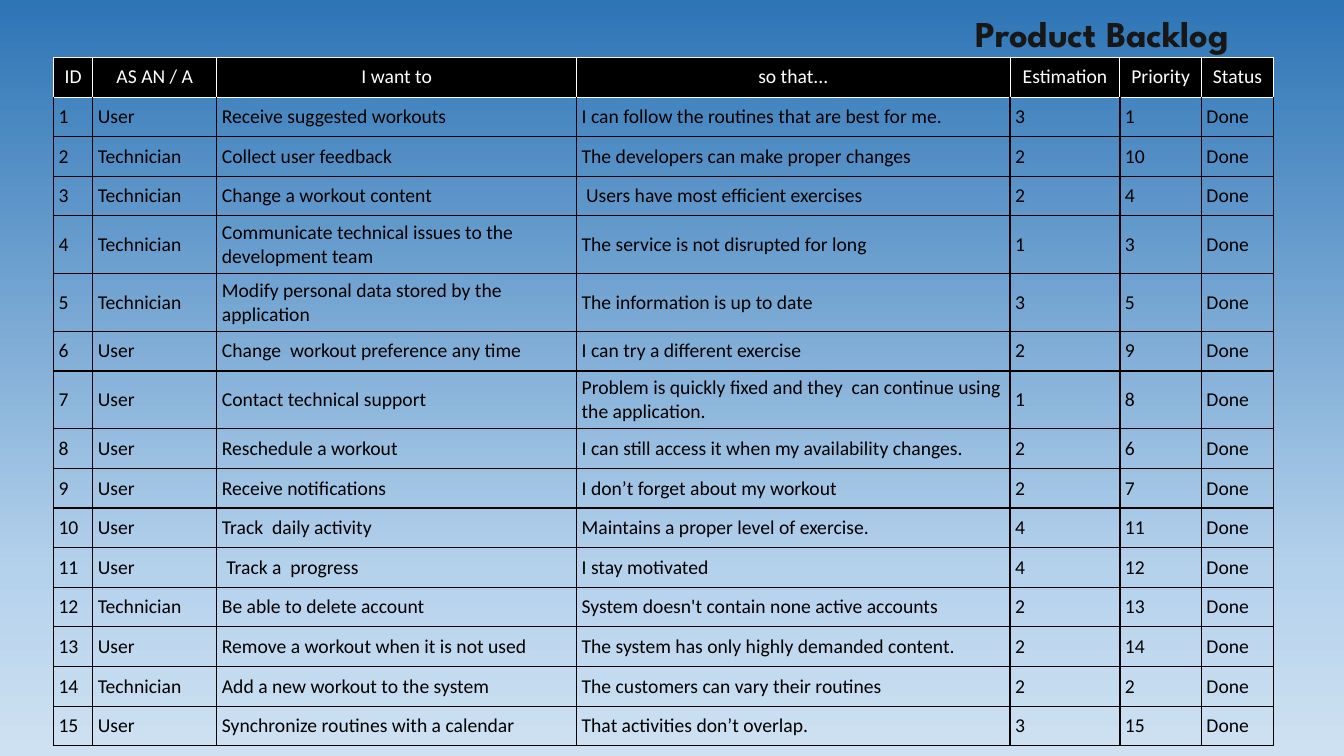
from copy import deepcopy
from lxml.etree import SubElement
from pptx import Presentation
from pptx.dml.color import RGBColor
from pptx.enum.text import MSO_ANCHOR, MSO_AUTO_SIZE, PP_ALIGN
from pptx.oxml.ns import qn
from pptx.util import Pt

BLACK, WHITE = "000000", "FFFFFF"
WIDTHS = [28.1, 88.6, 257, 309.6, 78.5, 58.2, 51.6]
ROW = 28.3
HEAD = ["ID", "AS AN / A", "I want to", "so that...", "Estimation", "Priority", "Status"]
STORIES = [
    ("User", "Receive suggested workouts",
     "I can follow the routines that are best for me.", 3, 1),
    ("Technician", "Collect user feedback",
     "The developers can make proper changes", 2, 10),
    ("Technician", "Change a workout content",
     "\u00a0Users have most efficient exercises", 2, 4),
    ("Technician", "Communicate technical issues to the development team",
     "The service is not disrupted for long", 1, 3),
    ("Technician", "Modify personal data stored by the application",
     "The information is up to date", 3, 5),
    ("User", "Change\u00a0 workout preference any time",
     "I can try a different exercise", 2, 9),
    ("User", "Contact technical support",
     "Problem is quickly fixed and they\u00a0 can continue using the application.", 1, 8),
    ("User", "Reschedule a workout",
     "I can still access it when my availability changes.", 2, 6),
    ("User", "Receive notifications",
     "I don\u2019t forget about my workout", 2, 7),
    ("User", "Track\u00a0 daily activity",
     "Maintains a proper level of exercise.", 4, 11),
    ("User", "\u00a0Track a\u00a0 progress",
     "I stay motivated", 4, 12),
    ("Technician", "Be able to delete account",
     "System doesn't contain none active accounts", 2, 13),
    ("User", "Remove a workout when it is not used",
     "The system has only highly demanded content.", 2, 14),
    ("Technician", "Add a new workout to the system",
     "The customers can vary their routines", 2, 2),
    ("User", "Synchronize\u00a0routines with a calendar",
     "That activities don\u2019t overlap.", 3, 15),
]


def paint(color, code):
    color.rgb = RGBColor.from_string(code)


def write(frame, text, size=14, font="Calibri", color=BLACK, bold=False,
          align=PP_ALIGN.LEFT):
    para = frame.paragraphs[0]
    para.alignment = align
    run = para.add_run()
    run.text = text
    run.font.size = Pt(size)
    run.font.name = font
    run.font.bold = bold
    paint(run.font.color, color)


def shade(slide, stops):
    fill = slide.background.fill
    fill.gradient()
    fill.gradient_angle = 270
    group = slide._element.find(".//" + qn("a:gsLst"))
    while len(group) < len(stops):
        group.append(deepcopy(group[-1]))
    for stop, (place, code) in zip(fill.gradient_stops, stops):
        stop.position = place
        paint(stop.color, code)


def border(cell, side, code, width):
    line = SubElement(cell._tc.get_or_add_tcPr(), qn("a:ln" + side), w=str(Pt(width)))
    solid = SubElement(line, qn("a:solidFill"))
    SubElement(solid, qn("a:srgbClr"), val=code)


def fill_cell(cell, text, head, first):
    cell.margin_left = cell.margin_right = Pt(3.6)
    cell.margin_top = cell.margin_bottom = Pt(3.6)
    cell.vertical_anchor = MSO_ANCHOR.MIDDLE
    for side in "LRTB":
        white = head or (first and side == "T")
        border(cell, side, WHITE if white else BLACK, 0.75 if white else 1)
    if head:
        cell.fill.solid()
        paint(cell.fill.fore_color, BLACK)
        write(cell.text_frame, text, color=WHITE, align=PP_ALIGN.CENTER)
    else:
        cell.fill.background()
        write(cell.text_frame, text)


def add_grid(slide, rows, left, top):
    frame = slide.shapes.add_table(len(rows), len(WIDTHS), Pt(left), Pt(top),
                                   Pt(sum(WIDTHS)), Pt(ROW * len(rows)))
    table = frame.table
    table.horz_banding = False
    for col, width in zip(table.columns, WIDTHS):
        col.width = Pt(width)
    for r, row in enumerate(rows):
        table.rows[r].height = Pt(ROW)
        for c, text in enumerate(row):
            fill_cell(table.cell(r, c), str(text), r == 0, r == 1)


def add_title(slide, text, left, top, width, height):
    box = slide.shapes.add_textbox(Pt(left), Pt(top), Pt(width), Pt(height))
    box.text_frame.word_wrap = True
    box.text_frame.auto_size = MSO_AUTO_SIZE.SHAPE_TO_FIT_TEXT
    write(box.text_frame, text, size=26, font="League Spartan", color="181717", bold=True)


def main():
    deck = Presentation()
    deck.slide_width, deck.slide_height = Pt(960), Pt(540)
    slide = deck.slides.add_slide(deck.slide_layouts[6])
    shade(slide, [(0, "2E75B6"), (0.76, "B5D2EC"), (1, "CEE1F2")])
    body = [(num, *story, "Done") for num, story in enumerate(STORIES, 1)]
    add_grid(slide, [HEAD] + body, 38.2, 41)
    add_title(slide, "Product Backlog", 689.8, 4.3, 286.6, 38.9)
    deck.save("out.pptx")


main()
